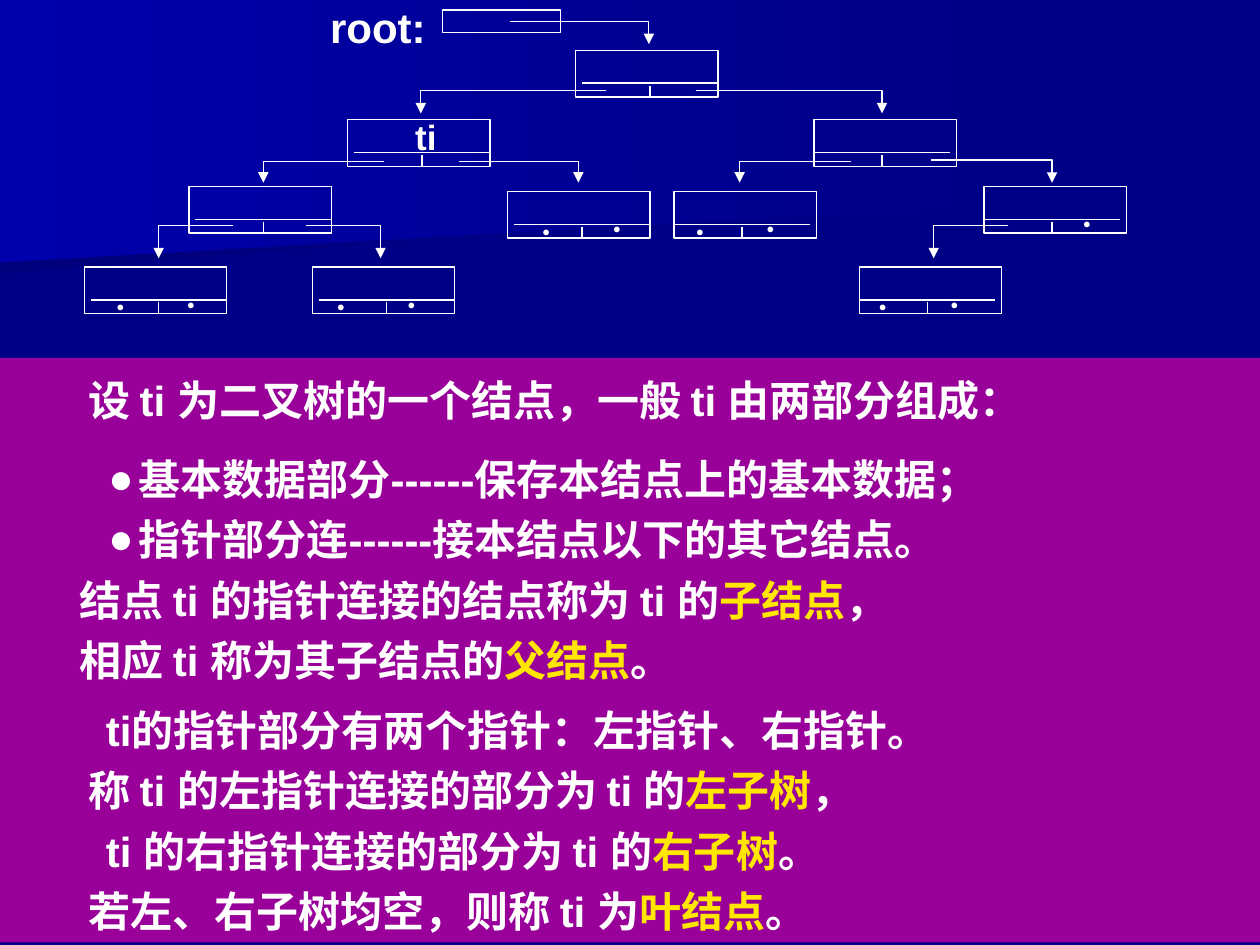
from dataclasses import dataclass
from typing import NamedTuple

from lxml.etree import SubElement
from pptx import Presentation
from pptx.dml.color import RGBColor
from pptx.enum.shapes import MSO_CONNECTOR, MSO_SHAPE
from pptx.enum.text import MSO_ANCHOR, MSO_AUTO_SIZE, PP_ALIGN
from pptx.oxml.ns import qn
from pptx.util import Inches, Pt


@dataclass(frozen=True)
class Theme:
    background: RGBColor = RGBColor(0x00, 0x00, 0x86)
    shade: RGBColor = RGBColor(0x00, 0x00, 0x7D)
    glow: RGBColor = RGBColor(0x00, 0x00, 0xAC)
    panel: RGBColor = RGBColor(0x99, 0x00, 0x99)
    ink: RGBColor = RGBColor(0xFF, 0xFF, 0xFF)
    keyword: RGBColor = RGBColor(0xFF, 0xE7, 0x01)
    font: str = "Arial"
    dot_font: str = "Times New Roman"
    body_size: Pt = Pt(24)
    node_size: Pt = Pt(20)
    line_width: Pt = Pt(0.75)


class Node(NamedTuple):
    left: float
    top: float
    divider_offset: float
    dots: tuple = ()


class Arrow(NamedTuple):
    start_x: float
    start_y: float
    end_x: float
    end_y: float


class Label(NamedTuple):
    text: str
    left: float
    top: float
    width: float
    height: float
    size: Pt
    font: str
    alignment: PP_ALIGN = PP_ALIGN.JUSTIFY


class Line(NamedTuple):
    text: str
    margin: float
    keyword: str = ""
    bullet: bool = False
    space_after: float = 0


THEME = Theme()
NODE_WIDTH, NODE_HEIGHT = 1.13, 0.37
DIVIDER_WIDTH, DIVIDER_DROP = 1.08, 0.26
BULLET_HANG = 0.24

NODES = [
    Node(4.57, 0.4, 0.05),
    Node(2.76, 0.95, 0.05),
    Node(1.5, 1.48, 0.05),
    Node(4.03, 1.52, 0.05, (0.25, 0.81)),
    Node(0.67, 2.12, 0.05, (0.23, 0.79)),
    Node(2.48, 2.12, 0.05, (0.17, 0.73)),
    Node(6.46, 0.95, 0),
    Node(7.81, 1.48, 0, (0.76,)),
    Node(5.35, 1.52, 0, (0.15, 0.71)),
    Node(6.82, 2.12, 0, (0.13, 0.7)),
]
ARROWS = [
    Arrow(4.05, 0.17, 5.15, 0.35),
    Arrow(4.81, 0.72, 3.34, 0.9),
    Arrow(5.52, 0.72, 7, 0.9),
    Arrow(3.05, 1.28, 2.09, 1.45),
    Arrow(3.64, 1.28, 4.59, 1.45),
    Arrow(6.75, 1.28, 5.87, 1.45),
    Arrow(7.39, 1.27, 8.35, 1.45),
    Arrow(1.85, 1.79, 1.26, 2.05),
    Arrow(2.43, 1.79, 3.02, 2.05),
    Arrow(8, 1.79, 7.41, 2.05),
]
NODE_LINES = [
    Line("设 ti 为二叉树的一个结点，一般 ti 由两部分组成：", 0.6, space_after=10.5),
    Line("基本数据部分------保存本结点上的基本数据；", 1, bullet=True),
    Line("指针部分连------接本结点以下的其它结点。", 1, bullet=True),
    Line("结点 ti 的指针连接的结点称为 ti 的子结点，", 0.53, "子结点"),
    Line("相应 ti 称为其子结点的父结点。", 0.53, "父结点"),
]
SUBTREE_LINES = [
    Line("ti的指针部分有两个指针：左指针、右指针。", 0.74),
    Line("称 ti 的左指针连接的部分为 ti 的左子树，", 0.6, "左子树"),
    Line("ti 的右指针连接的部分为 ti 的右子树。", 0.74, "右子树"),
    Line("若左、右子树均空，则称 ti 为叶结点。", 0.6, "叶结点"),
]


def draw_freeform(slide, points: list):
    corners = [(Inches(x), Inches(y)) for x, y in points]
    closed = points[0] == points[-1]
    builder = slide.shapes.build_freeform(*corners[0])
    builder.add_line_segments(corners[1:], close=closed)
    shape = builder.convert_to_shape()
    shape.shadow.inherit = False
    return shape


def draw_backdrop(slide, points: list, end_color: RGBColor) -> None:
    shape = draw_freeform(slide, points)
    shape.line.fill.background()
    shape.fill.gradient()
    shape.fill.gradient_angle = 180
    for stop, color in zip(shape.fill.gradient_stops, (THEME.background, end_color)):
        stop.color.rgb = color


def style_line(line) -> None:
    line.color.rgb = THEME.ink
    line.width = THEME.line_width


def draw_box(slide, left: float, top: float, width: float, height: float) -> None:
    box = slide.shapes.add_shape(
        MSO_SHAPE.RECTANGLE, Inches(left), Inches(top), Inches(width), Inches(height))
    box.shadow.inherit = False
    box.fill.background()
    style_line(box.line)


def draw_line(slide, x1: float, y1: float, x2: float, y2: float) -> None:
    connector = slide.shapes.add_connector(
        MSO_CONNECTOR.STRAIGHT, Inches(x1), Inches(y1), Inches(x2), Inches(y2))
    style_line(connector.line)
    SubElement(connector._element.spPr, qn("a:effectLst"))


def draw_arrow(slide, arrow: Arrow) -> None:
    shape = draw_freeform(slide, [
        (arrow.start_x, arrow.start_y), (arrow.end_x, arrow.start_y), (arrow.end_x, arrow.end_y)])
    shape.fill.background()
    style_line(shape.line)
    SubElement(shape.line._get_or_add_ln(), qn("a:tailEnd"), type="triangle")


def style_run(run, size: Pt, font: str, color: RGBColor) -> None:
    run.font.size = size
    run.font.name = font
    run.font.bold = True
    run.font.color.rgb = color


def draw_label(slide, label: Label) -> None:
    box = slide.shapes.add_textbox(
        Inches(label.left), Inches(label.top), Inches(label.width), Inches(label.height))
    frame = box.text_frame
    frame.word_wrap = True
    frame.margin_left = frame.margin_right = Inches(0.01)
    frame.margin_top = frame.margin_bottom = Inches(0.01)
    frame.text = label.text
    paragraph = frame.paragraphs[0]
    paragraph.alignment = label.alignment
    style_run(paragraph.runs[0], label.size, label.font, THEME.ink)


def draw_node(slide, node: Node) -> None:
    draw_box(slide, node.left, node.top, NODE_WIDTH, NODE_HEIGHT)
    start = node.left + node.divider_offset
    divider_y = node.top + DIVIDER_DROP
    middle = start + DIVIDER_WIDTH / 2
    draw_line(slide, start, divider_y, start + DIVIDER_WIDTH, divider_y)
    draw_line(slide, middle, divider_y + 0.02, middle, node.top + NODE_HEIGHT)
    for offset in node.dots:
        drop = 0.13 if offset < 0.5 else 0.11
        draw_label(slide, Label("·", node.left + offset, node.top + drop, 0.37, 0.23,
                                THEME.node_size, THEME.dot_font))


def write_line(paragraph, line: Line) -> None:
    properties = paragraph._p.get_or_add_pPr()
    properties.set("marL", str(Inches(line.margin)))
    properties.set("indent", str(Inches(-BULLET_HANG if line.bullet else 0)))
    if line.bullet:
        paragraph.level = 2
        color = SubElement(properties, qn("a:buClr"))
        SubElement(color, qn("a:srgbClr"), val=str(THEME.ink))
        SubElement(properties, qn("a:buChar"), char="●")
    else:
        SubElement(properties, qn("a:buNone"))
    paragraph.alignment = PP_ALIGN.LEFT
    paragraph.line_spacing = 1.2
    paragraph.space_before = Pt(0)
    paragraph.space_after = Pt(line.space_after)
    parts = line.text.partition(line.keyword) if line.keyword else (line.text,)
    for part in parts:
        run = paragraph.add_run()
        run.text = part
        color = THEME.keyword if part == line.keyword else THEME.ink
        style_run(run, THEME.body_size, THEME.font, color)


def fill_panel(panel, top: float, height: float, lines: list) -> None:
    panel.left, panel.top = Inches(0), Inches(top)
    panel.width, panel.height = Inches(10), Inches(height)
    panel.fill.solid()
    panel.fill.fore_color.rgb = THEME.panel
    frame = panel.text_frame
    frame.word_wrap = True
    frame.auto_size = MSO_AUTO_SIZE.NONE
    frame.vertical_anchor = MSO_ANCHOR.MIDDLE
    for index, line in enumerate(lines):
        write_line(frame.add_paragraph() if index else frame.paragraphs[0], line)


def main() -> None:
    presentation = Presentation()
    presentation.slide_width, presentation.slide_height = Inches(10), Inches(7.5)
    slide = presentation.slides.add_slide(presentation.slide_layouts[3])
    title = slide.shapes.title._element
    title.getparent().remove(title)
    slide.background.fill.solid()
    slide.background.fill.fore_color.rgb = THEME.background

    draw_backdrop(slide, [(7.78, 1.53), (0, 2.17), (0, 1.01), (7.79, 1.01), (7.78, 1.53)], THEME.shade)
    draw_backdrop(slide, [(7.92, 1.62), (0, 2.08), (0, 0), (7.92, 0), (7.92, 1.62)], THEME.glow)
    draw_label(slide, Label("root:", 2.61, 0, 0.89, 0.24, THEME.body_size, THEME.font))
    draw_box(slide, 3.51, 0.08, 0.94, 0.18)
    for node in NODES:
        draw_node(slide, node)
    for arrow in ARROWS:
        draw_arrow(slide, arrow)
    draw_label(slide, Label("ti", 2.87, 0.91, 1.02, 0.36, THEME.node_size, THEME.font, PP_ALIGN.CENTER))

    fill_panel(slide.placeholders[1], 2.84, 2.65, NODE_LINES)
    fill_panel(slide.placeholders[2], 5.46, 2.02, SUBTREE_LINES)
    presentation.save("out.pptx")


if __name__ == "__main__":
    main()
